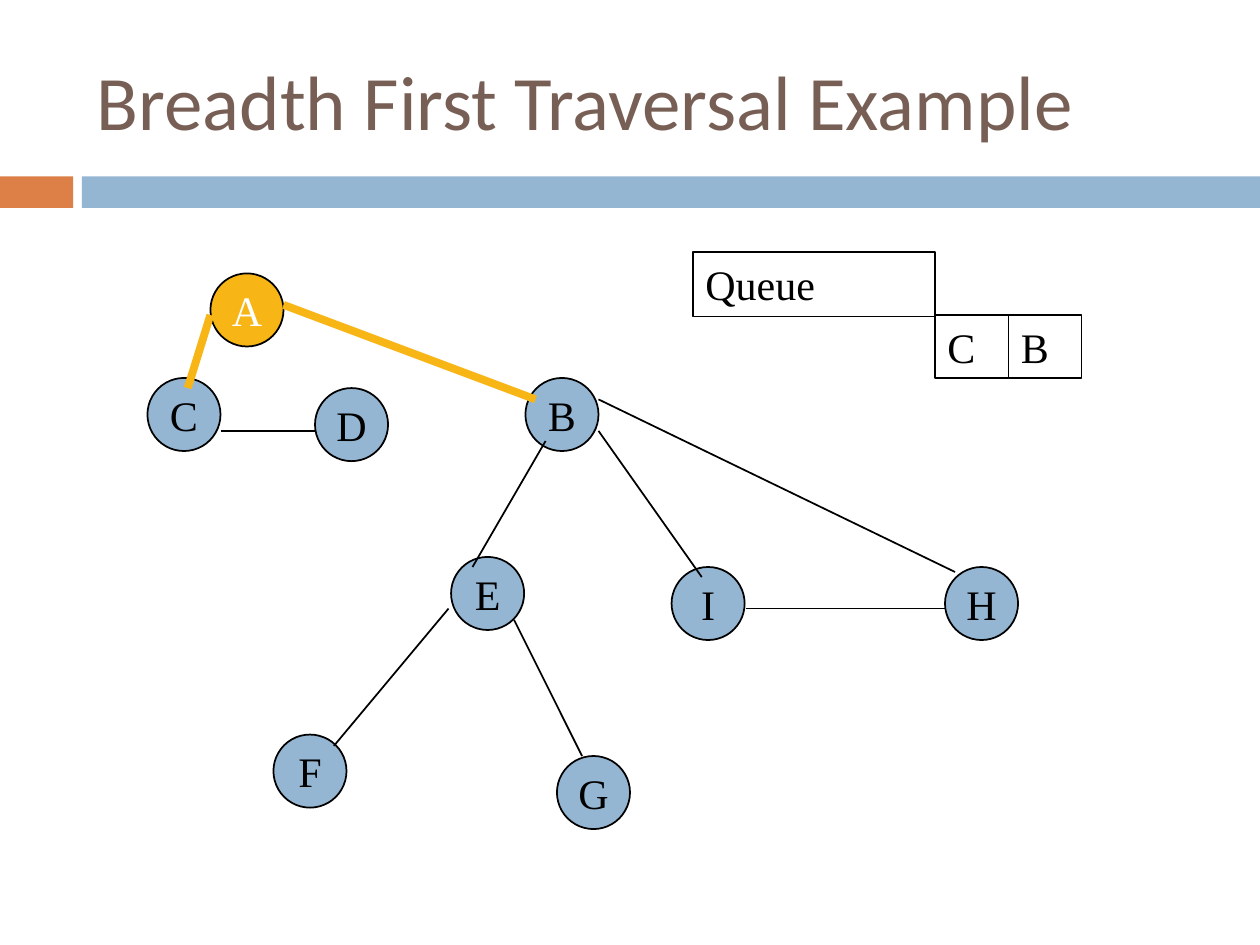
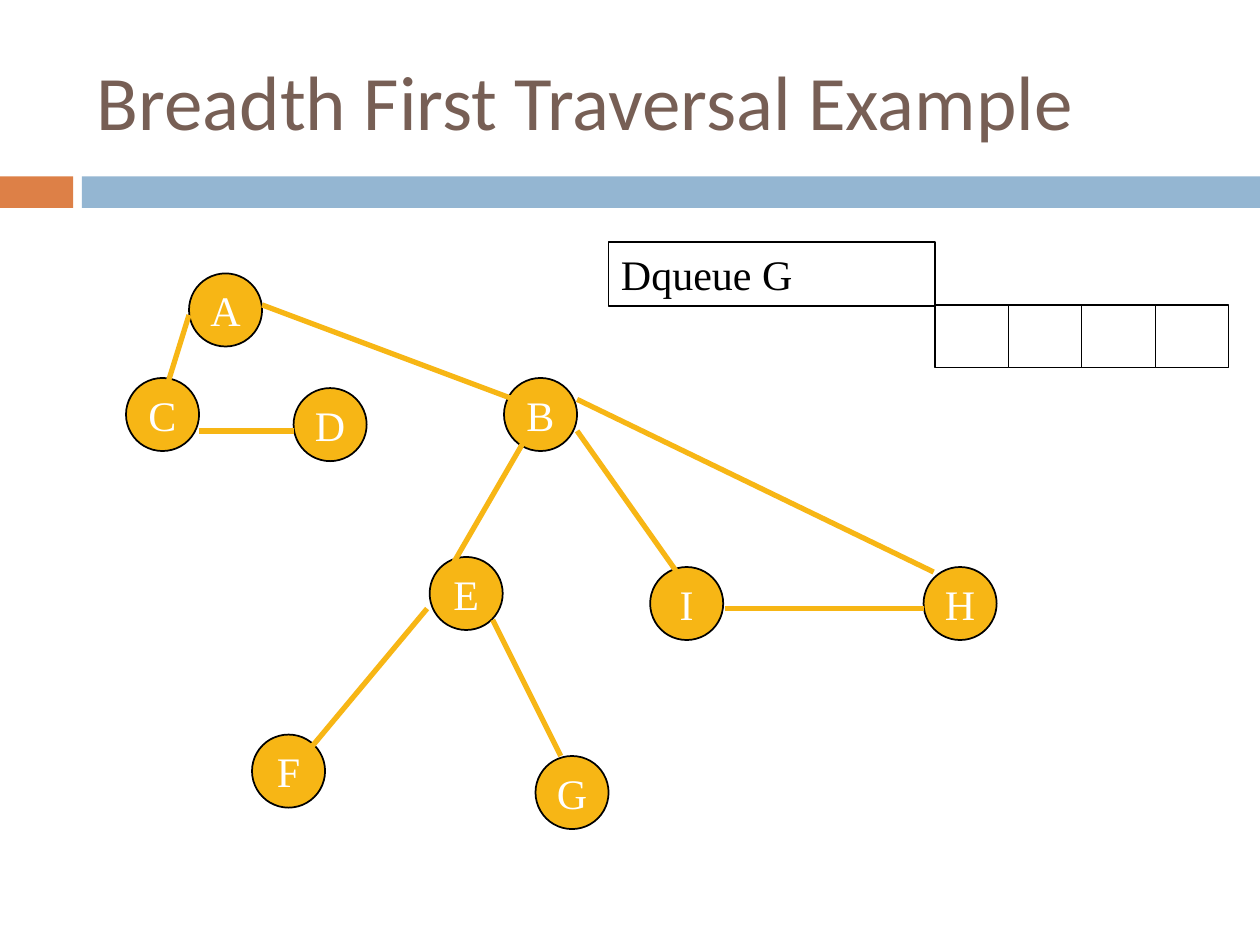
from lxml import etree
from pptx import Presentation
from pptx.dml.color import RGBColor
from pptx.enum.shapes import MSO_CONNECTOR, MSO_SHAPE
from pptx.enum.text import MSO_ANCHOR, PP_ALIGN
from pptx.oxml.ns import qn
from pptx.util import Inches, Pt

RECT, OVAL, LINE = MSO_SHAPE.RECTANGLE, MSO_SHAPE.OVAL, MSO_CONNECTOR.STRAIGHT
MIDDLE, LEFT, CENTER = MSO_ANCHOR.MIDDLE, PP_ALIGN.LEFT, PP_ALIGN.CENTER

BLACK = RGBColor(0x00, 0x00, 0x00)
WHITE = RGBColor(0xFF, 0xFF, 0xFF)
BROWN = RGBColor(0x77, 0x5F, 0x55)
ORANGE = RGBColor(0xDD, 0x80, 0x47)
BLUE = RGBColor(0x94, 0xB6, 0xD2)
YELLOW = RGBColor(0xF7, 0xB6, 0x15)

TITLE = "Breadth First Traversal Example"
TITLE_FONT = {"name": "Calibri", "size": Pt(44)}
BODY_FONT = {"name": "Times New Roman", "size": Pt(24)}
BANDS = [(0, 0.58, ORANGE), (0.65, 9.35, BLUE)]

NODE = 0.58
NODES = {
    "A": (1.67, 2.17), "C": (1.17, 3), "D": (2.5, 3.08), "B": (4.17, 3),
    "E": (3.58, 4.42), "F": (2.17, 5.83), "G": (4.42, 6),
    "I": (5.33, 4.5), "H": (7.5, 4.5),
}
EDGES = {
    "AC": (1.67, 2.5, 1.49, 3.08), "CD": (1.75, 3.42, 2.5, 3.42),
    "AB": (2.25, 2.42, 4.25, 3.17), "BE": (4.33, 3.5, 3.75, 4.5),
    "EF": (3.56, 4.83, 2.65, 5.92), "EG": (4.08, 4.92, 4.62, 6),
    "BI": (4.75, 3.42, 5.57, 4.58), "BH": (4.75, 3.17, 7.58, 4.54),
    "IH": (5.92, 4.83, 7.5, 4.83),
}

QUEUE_LEFT, CELL_STEP = 7.42, 0.583
STEPS = [
    {"shift": 0, "visited": ["A"], "walked": ["AB", "AC"], "walked_width": 4.5,
     "label": "Queue", "label_left": 5.5, "queue_top": 2.0, "cells": ["C", "B"]},
    {"shift": -0.17, "visited": list(NODES), "walked": list(EDGES), "walked_width": 3,
     "label": "Dqueue G", "label_left": 4.83, "queue_top": 1.92, "cells": [""] * 4},
]


def set_text(shape, text, font, color, align=LEFT, wrap=True):
    tf = shape.text_frame
    tf.word_wrap = wrap
    tf.vertical_anchor = MIDDLE
    p = tf.paragraphs[0]
    p.alignment = align
    r = p.add_run()
    r.text = text
    for name, value in font.items():
        setattr(r.font, name, value)
    r.font.color.rgb = color


def add_box(s, kind, x, y, w, h, fill, line_width=None):
    """Add a filled shape, outlined in black when line_width is given."""
    sp = s.shapes.add_shape(kind, Inches(x), Inches(y), Inches(w), Inches(h))
    sp.shadow.inherit = False
    sp.fill.solid()
    sp.fill.fore_color.rgb = fill
    if line_width:
        sp.line.color.rgb = BLACK
        sp.line.width = Pt(line_width)
    else:
        sp.line.fill.background()
    return sp


prs = Presentation()
prs.slide_width, prs.slide_height = Inches(10), Inches(7.5)

for step in STEPS:
    s = prs.slides.add_slide(prs.slide_layouts[6])
    for x, w, color in BANDS:
        add_box(s, RECT, x, 1.4, w, 0.25, color)
    title = s.shapes.add_textbox(Inches(0.67), Inches(0.25), Inches(8.92), Inches(1.08))
    set_text(title, TITLE, TITLE_FONT, BROWN)

    # Queue: label box, then the cells stepping right from its lower corner
    top = step["queue_top"]
    label_left = step["label_left"]
    sp = add_box(s, RECT, label_left, top, QUEUE_LEFT - label_left, 0.51, WHITE, 0.75)
    set_text(sp, step["label"], BODY_FONT, BLACK)
    for i, item in enumerate(step["cells"]):
        sp = add_box(s, RECT, QUEUE_LEFT + i * CELL_STEP, top + 0.5, CELL_STEP, 0.5, WHITE, 0.75)
        if item:
            set_text(sp, item, BODY_FONT, BLACK)

    # Graph: nodes first, edges on top
    shift = step["shift"]
    for name, (x, y) in NODES.items():
        visited = name in step["visited"]
        sp = add_box(s, OVAL, x + shift, y, NODE, NODE, YELLOW if visited else BLUE, 1)
        set_text(sp, name, BODY_FONT, WHITE if visited else BLACK, CENTER, wrap=False)
    for name, (x1, y1, x2, y2) in EDGES.items():
        walked = name in step["walked"]
        edge = s.shapes.add_connector(
            LINE, Inches(x1 + shift), Inches(y1), Inches(x2 + shift), Inches(y2))
        edge.line.color.rgb = YELLOW if walked else BLACK
        edge.line.width = Pt(step["walked_width"] if walked else 1)
        etree.SubElement(edge._element.spPr, qn("a:effectLst"))

prs.save("out.pptx")
